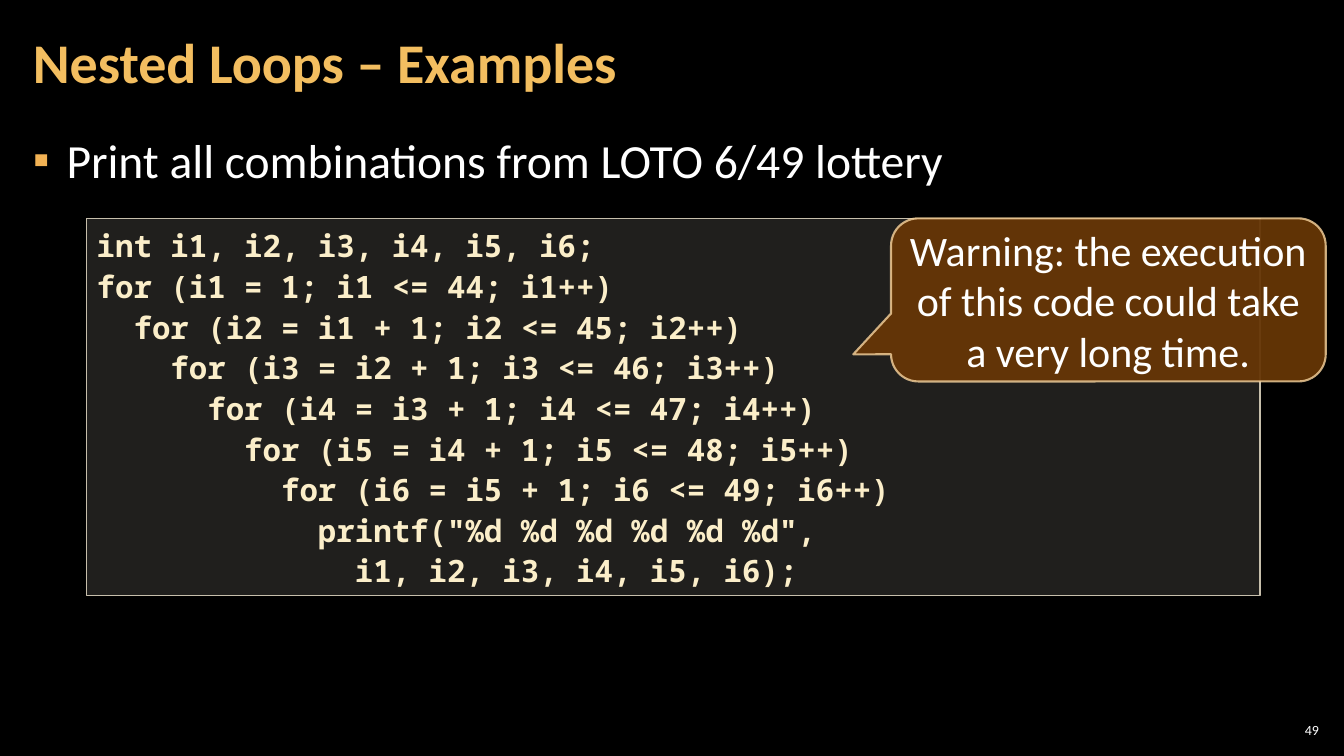
from dataclasses import dataclass

from lxml.etree import SubElement
from pptx import Presentation
from pptx.dml.color import RGBColor
from pptx.enum.shapes import MSO_SHAPE
from pptx.enum.text import MSO_ANCHOR, MSO_AUTO_SIZE, PP_ALIGN
from pptx.oxml.ns import qn
from pptx.util import Pt

CODE = """int i1, i2, i3, i4, i5, i6;
for (i1 = 1; i1 <= 44; i1++)
  for (i2 = i1 + 1; i2 <= 45; i2++)
    for (i3 = i2 + 1; i3 <= 46; i3++)
      for (i4 = i3 + 1; i4 <= 47; i4++)
        for (i5 = i4 + 1; i5 <= 48; i5++)
          for (i6 = i5 + 1; i6 <= 49; i6++)
            printf("%d %d %d %d %d %d",
              i1, i2, i3, i4, i5, i6);"""


@dataclass(frozen=True)
class Theme:
    """Colours, fonts and type sizes of the slide."""
    background: str = "000000"
    accent: str = "F3BE60"
    bullet: str = "F2B254"
    text: str = "FFFFFF"
    code_text: str = "FBEEC9"
    code_fill: str = "D9D5C7"
    code_line: str = "C7BFAC"
    callout_fill: str = "663606"
    callout_line: str = "F8D49E"
    sans: str = "Calibri"
    mono: str = "Noto Sans Mono"
    title_size: int = 40
    body_size: int = 34
    callout_size: int = 30
    code_size: int = 22
    number_size: int = 10


class SlideBuilder:
    """Adds styled elements to the current slide."""

    def __init__(self, prs, theme):
        self.theme = theme
        self.s = prs.slides.add_slide(prs.slide_layouts[1])
        fill = self.s.background.fill
        fill.solid()
        fill.fore_color.rgb = RGBColor.from_string(theme.background)

    def place(self, sp, box):
        for name, value in zip(("left", "top", "width", "height"), box):
            setattr(sp, name, Pt(value))

    def frame(self, sp, anchor, inset=(7.2, 3.6), auto_size=MSO_AUTO_SIZE.NONE):
        tf = sp.text_frame
        x, y = (Pt(v) for v in inset)
        fmt = {"word_wrap": True, "auto_size": auto_size, "vertical_anchor": anchor,
               "margin_left": x, "margin_right": x,
               "margin_top": y, "margin_bottom": y}
        for name, value in fmt.items():
            setattr(tf, name, value)
        return tf

    def text(self, p, text, size, color, font=None, bold=False,
             align=PP_ALIGN.LEFT, spacing=1.0, after=0):
        fmt = {"alignment": align, "line_spacing": spacing,
               "space_before": Pt(0), "space_after": Pt(after)}
        for name, value in fmt.items():
            setattr(p, name, value)
        r = p.add_run()
        r.text = text
        fmt = {"name": font or self.theme.sans, "size": Pt(size), "bold": bold}
        for name, value in fmt.items():
            setattr(r.font, name, value)
        r.font.color.rgb = RGBColor.from_string(color)

    def paint(self, part, color, opacity):
        part.solid()
        part.fore_color.rgb = RGBColor.from_string(color)
        clr = part._xPr.find(".//" + qn("a:srgbClr"))
        SubElement(clr, qn("a:alpha"), val=str(opacity * 1000))

    def shape(self, kind, box, fill, opacity, line, width, line_opacity=100):
        sp = self.s.shapes.add_shape(kind, *(Pt(v) for v in box))
        sp.shadow.inherit = False
        self.paint(sp.fill, fill, opacity)
        self.paint(sp.line.fill, line, line_opacity)
        sp.line.width = Pt(width)
        return sp

    def title(self, text, box):
        sp = self.s.shapes.title
        self.place(sp, box)
        tf = self.frame(sp, MSO_ANCHOR.MIDDLE, (8.5, 2.83))
        self.text(tf.paragraphs[0], text, self.theme.title_size,
                  self.theme.accent, bold=True, spacing=0.9)

    def bullets(self, items, box):
        sp = self.s.placeholders[1]
        self.place(sp, box)
        tf = self.frame(sp, MSO_ANCHOR.TOP, (8.5, 2.83))
        for i, item in enumerate(items):
            p = tf.add_paragraph() if i else tf.paragraphs[0]
            pPr = p._p.get_or_add_pPr()
            pPr.set("marL", str(Pt(24)))
            pPr.set("indent", str(-Pt(24)))
            clr = SubElement(pPr, qn("a:buClr"))
            SubElement(clr, qn("a:srgbClr"), val=self.theme.bullet)
            SubElement(pPr, qn("a:buChar"), char="▪")
            self.text(p, item, self.theme.body_size, self.theme.text, after=6)

    def code(self, text, box):
        t = self.theme
        sp = self.shape(MSO_SHAPE.RECTANGLE, box, t.code_fill, 15, t.code_line, 1)
        tf = self.frame(sp, MSO_ANCHOR.TOP, auto_size=MSO_AUTO_SIZE.SHAPE_TO_FIT_TEXT)
        for i, line in enumerate(text.splitlines()):
            p = tf.add_paragraph() if i else tf.paragraphs[0]
            self.text(p, line, t.code_size, t.code_text, t.mono, True, spacing=1.1)

    def callout(self, text, box, adjustments):
        t = self.theme
        sp = self.shape(MSO_SHAPE.ROUNDED_RECTANGULAR_CALLOUT, box,
                        t.callout_fill, 95, t.callout_line, 1.5, 80)
        for i, value in enumerate(adjustments):
            sp.adjustments[i] = value
        tf = self.frame(sp, MSO_ANCHOR.MIDDLE)
        self.text(tf.paragraphs[0], text, t.callout_size, t.text,
                  align=PP_ALIGN.CENTER)

    def number(self, text, box):
        sp = self.s.shapes.add_textbox(*(Pt(v) for v in box))
        tf = self.frame(sp, MSO_ANCHOR.MIDDLE, (2.83, 2.83))
        self.text(tf.paragraphs[0], text, self.theme.number_size,
                  self.theme.text, align=PP_ALIGN.RIGHT)


def main():
    prs = Presentation()
    prs.slide_width, prs.slide_height = Pt(960), Pt(540)
    slide = SlideBuilder(prs, Theme())
    slide.title("Nested Loops – Examples", (15, 3, 754, 87))
    slide.bullets(["Print all combinations from LOTO 6/49 lottery"],
                  (15, 90.5, 929.5, 438.5))
    slide.code(CODE, (62, 156, 838, 269.5))
    slide.callout("Warning: the execution of this code could take a very long time.",
                  (636.5, 156, 310.5, 116.5), (-0.587, 0.334, 0.167))
    slide.number("49", (911, 514, 34, 15))
    prs.save("out.pptx")


if __name__ == "__main__":
    main()
